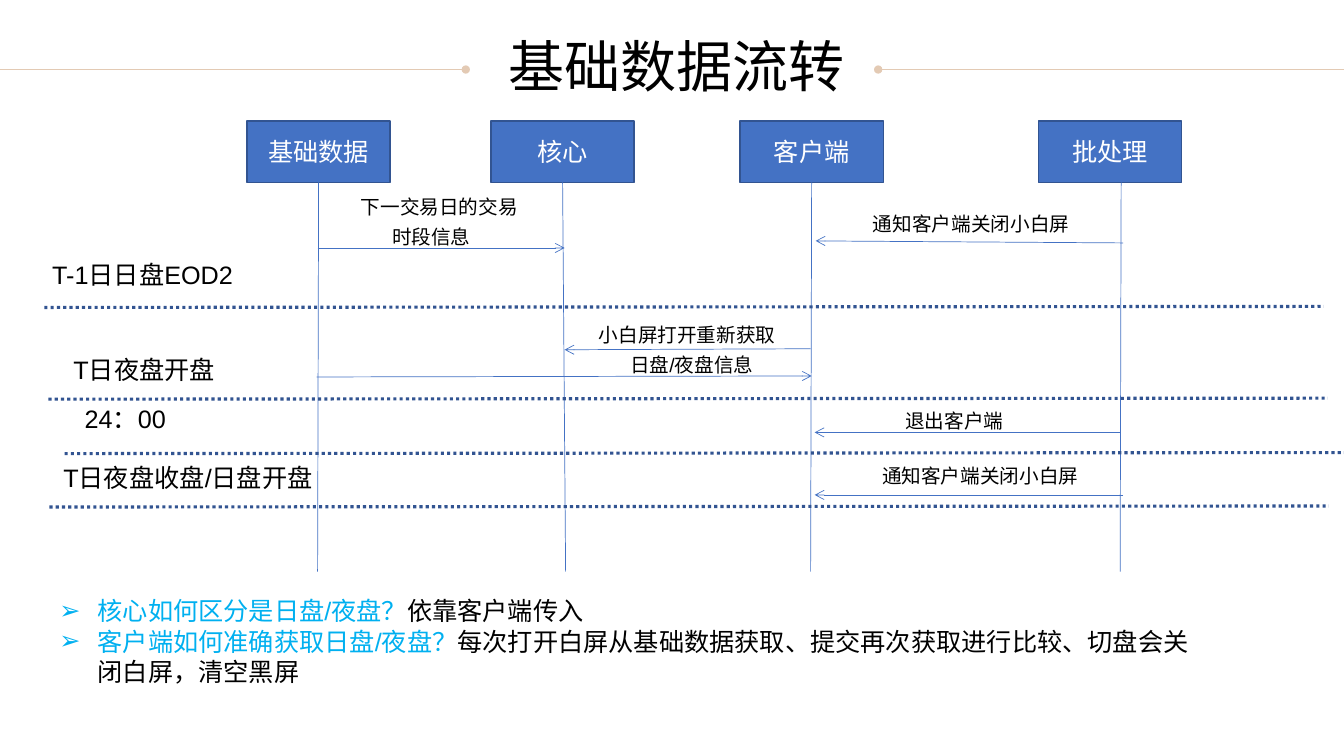
from dataclasses import dataclass
from typing import Any, Optional

import lxml.etree
import pptx
import pptx.dml.color
import pptx.enum.dml
import pptx.enum.shapes
import pptx.enum.text
import pptx.oxml.ns
import pptx.util

Inches = pptx.util.Inches
Pt = pptx.util.Pt
RGB = pptx.dml.color.RGBColor
qn = pptx.oxml.ns.qn
Align = pptx.enum.text.PP_ALIGN


@dataclass(frozen=True)
class Theme:
    face: str = "Arial"
    ink: str = "000000"
    light: str = "FFFFFF"
    sand: str = "E3CAB4"
    blue: str = "4472C4"
    navy: str = "325491"
    cyan: str = "00B0F0"
    title: float = 40
    body: float = 18
    note: float = 14
    thin: float = 0.5
    edge: float = 1
    thick: float = 2.25


THEME = Theme()


@dataclass(frozen=True)
class Actor:
    text: str
    left: float
    foot: float  # x where the lifeline ends
    head: Optional[float] = None  # x of its start when off the box middle


@dataclass(frozen=True)
class Line:
    x1: float
    y1: float
    x2: float
    y2: float
    color: str = THEME.blue
    width: float = THEME.thin
    head: str = ""
    tail: str = ""
    dots: bool = False


@dataclass(frozen=True)
class Label:
    text: str
    left: float
    top: float
    width: float
    size: float = THEME.body
    rows: int = 1


BOX_TOP, BOX_W, BOX_H, LIFE_END = 1.2, 1.42, 0.61, 5.67
HANG, LIST_HANG = 0.31, 0.38
NOTE_LEAD = 21

ACTORS = [
    Actor("基础数据", 2.45, 3.15),
    Actor("核心", 4.87, 5.61),
    Actor("客户端", 7.34, 8.04),
    Actor("批处理", 10.3, 11.11, 11.12),
]
RULES = [
    Line(0, 0.69, 4.62, 0.69, THEME.sand, tail="oval"),
    Line(8.71, 0.69, 13.33, 0.69, THEME.sand, head="oval"),
]
PHASES = [
    Line(x, y, x + 12.69, y - 0.01, THEME.navy, THEME.thick, dots=True)
    for x, y in [(0.44, 3.05), (0.48, 3.96), (0.64, 4.5), (0.49, 5.03)]
]
CALLS = [
    Line(*ends, tail="arrow")
    for ends in [
        (3.15, 2.46, 5.6, 2.46),
        (11.14, 2.41, 8.09, 2.39),
        (8.04, 3.46, 5.6, 3.47),
        (3.14, 3.74, 8.05, 3.73),
        (11.11, 4.29, 8.08, 4.29),
        (11.14, 4.91, 8.08, 4.91),
    ]
]
LABELS = [
    Label("T-1日日盘EOD2", 0.42, 2.52, 2.24),
    Label("T日夜盘开盘", 0.63, 3.47, 1.78),
    Label("24：00", 0.74, 3.95, 1.78),
    Label("T日夜盘收盘/日盘开盘", 0.53, 4.54, 2.99),
    Label("下一交易日的交易时段信息", 3.48, 1.88, 1.78, THEME.note, 2),
    Label("通知客户端关闭小白屏", 8.56, 2, 2.18, THEME.note),
    Label("小白屏打开重新获取日盘/夜盘信息", 5.84, 3.15, 2.12, THEME.note, 2),
    Label("退出客户端", 8.88, 3.95, 1.22, THEME.note),
    Label("通知客户端关闭小白屏", 8.65, 4.5, 2.18, THEME.note),
]
POINTS = [
    ("核心如何区分是日盘/夜盘？", "依靠客户端传入"),
    ("客户端如何准确获取日盘/夜盘？",
     "每次打开白屏从基础数据获取、提交再次获取进行比较、切盘会关闭白屏，清空黑屏"),
]


def apply(item: Any, form: dict[str, Any]) -> None:
    for key, value in form.items():
        setattr(item, key, value)


def add_run(para: Any, text: str, size: float, color: str) -> None:
    run = para.add_run()
    run.text = text
    apply(run.font, {"name": THEME.face, "size": Pt(size)})
    run.font.color.rgb = RGB.from_string(color)


def indent(para: Any, hang: float, mark: str = "") -> None:
    props = para._p.get_or_add_pPr()
    props.set("marL", str(Inches(hang)))
    props.set("indent", str(-Inches(hang)))
    if mark:
        font = lxml.etree.SubElement(props, qn("a:buFont"))
        font.set("typeface", THEME.face)
        lxml.etree.SubElement(props, qn("a:buChar")).set("char", mark)


def add_box(slide: Any, left: float, top: float, width: float,
            height: float, wrap: bool = True) -> Any:
    box = slide.shapes.add_textbox(*map(Inches, (left, top, width, height)))
    apply(box.text_frame, {"word_wrap": wrap})
    return box.text_frame


def draw_line(slide: Any, line: Line) -> Any:
    link = slide.shapes.add_connector(
        pptx.enum.shapes.MSO_CONNECTOR.STRAIGHT,
        *map(Inches, (line.x1, line.y1, line.x2, line.y2)))
    link.line.color.rgb = RGB.from_string(line.color)
    form: dict[str, Any] = {"width": Pt(line.width)}
    if line.dots:
        form["dash_style"] = pptx.enum.dml.MSO_LINE.ROUND_DOT
    apply(link.line, form)
    props = link._element.spPr
    for tag, kind in (("a:headEnd", line.head), ("a:tailEnd", line.tail)):
        if kind:
            end = lxml.etree.SubElement(props.find(qn("a:ln")), qn(tag))
            end.set("type", kind)
    lxml.etree.SubElement(props, qn("a:effectLst"))
    return link


def draw_actor(slide: Any, actor: Actor) -> None:
    box = slide.shapes.add_shape(
        pptx.enum.shapes.MSO_SHAPE.RECTANGLE,
        *map(Inches, (actor.left, BOX_TOP, BOX_W, BOX_H)))
    box.shadow.inherit = False
    box.fill.solid()
    box.fill.fore_color.rgb = RGB.from_string(THEME.blue)
    box.line.color.rgb = RGB.from_string(THEME.navy)
    box.line.width = Pt(THEME.edge)
    box.text_frame.vertical_anchor = pptx.enum.text.MSO_ANCHOR.MIDDLE
    para = box.text_frame.paragraphs[0]
    para.alignment = Align.CENTER
    add_run(para, actor.text, THEME.body, THEME.light)

    start = actor.head or actor.left + BOX_W / 2
    life = draw_line(
        slide, Line(start, BOX_TOP + BOX_H, actor.foot, LIFE_END))
    if actor.head is None:
        life.begin_connect(box, 2)


def draw_label(slide: Any, label: Label) -> None:
    height = 0.4 if label.rows == 1 else 0.64
    frame = add_box(slide, label.left, label.top, label.width, height)
    para = frame.paragraphs[0]
    indent(para, HANG)
    if label.size == THEME.note:
        para.line_spacing = Pt(NOTE_LEAD)
    if label.rows > 1:
        frame.margin_top = 0
    add_run(para, label.text, label.size, THEME.ink)


def main() -> None:
    deck = pptx.Presentation()
    apply(deck, {"slide_width": Inches(13.33), "slide_height": Inches(7.5)})
    slide = deck.slides.add_slide(deck.slide_layouts[6])

    # Title between two rules
    for rule in RULES:
        draw_line(slide, rule)
    para = add_box(slide, 4.88, 0.26, 3.66, 0.77, False).paragraphs[0]
    para.alignment = Align.CENTER
    add_run(para, "基础数据流转", THEME.title, THEME.ink)

    # Sequence chart
    for actor in ACTORS:
        draw_actor(slide, actor)
    for line in PHASES + CALLS:
        draw_line(slide, line)
    for label in LABELS:
        draw_label(slide, label)

    # Questions and answers
    frame = add_box(slide, 0.49, 5.86, 11.5, 1.01)
    for i, (query, reply) in enumerate(POINTS):
        para = frame.add_paragraph() if i else frame.paragraphs[0]
        indent(para, LIST_HANG, "➢")
        add_run(para, query, THEME.body, THEME.cyan)
        add_run(para, reply, THEME.body, THEME.ink)

    deck.save("out.pptx")


if __name__ == "__main__":
    main()
